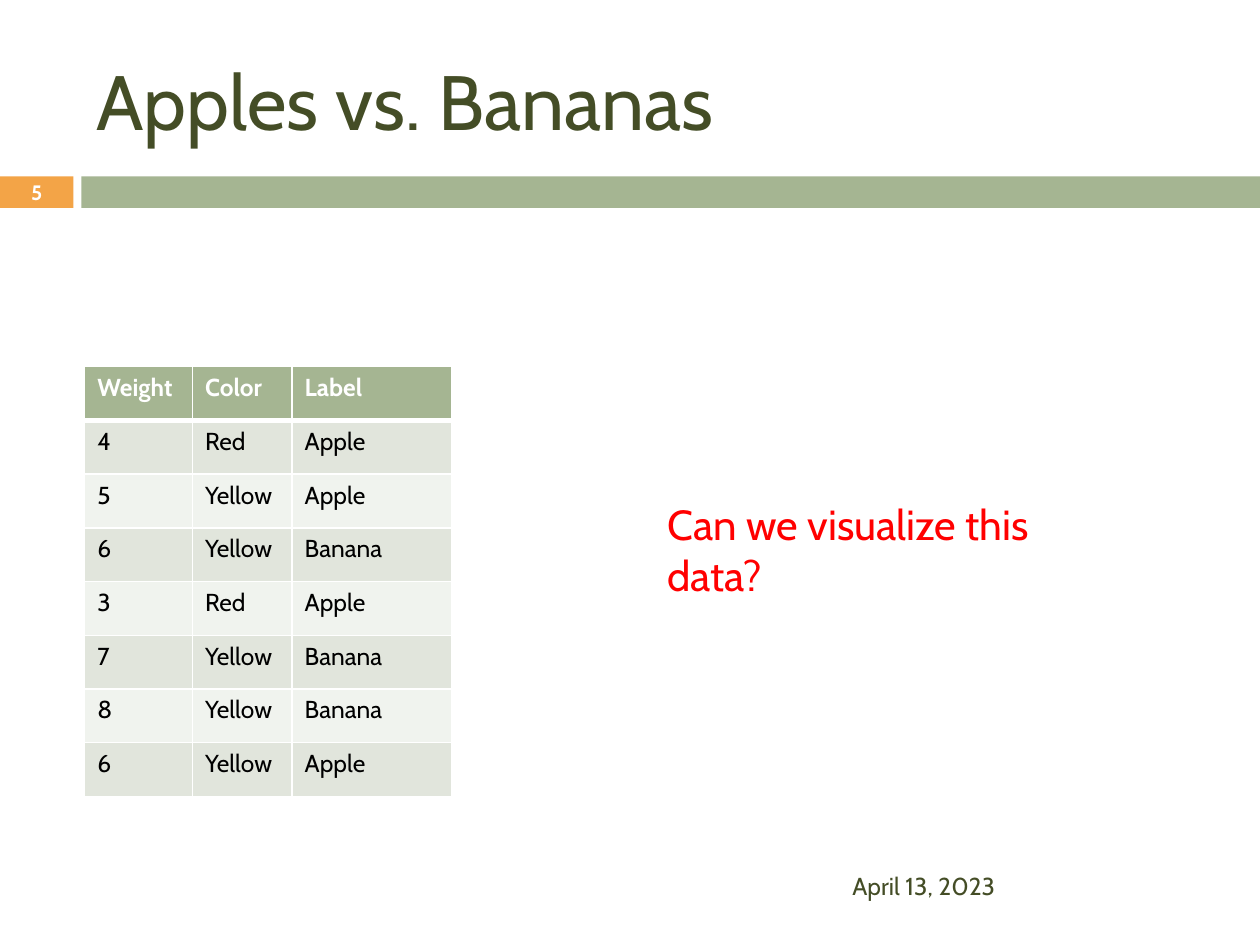
from dataclasses import dataclass

from lxml.etree import SubElement
from pptx import Presentation
from pptx.dml.color import RGBColor
from pptx.enum.shapes import MSO_SHAPE as Preset
from pptx.enum.text import MSO_ANCHOR as Anchor, PP_ALIGN as Align
from pptx.oxml.ns import qn
from pptx.slide import Slide
from pptx.table import _Cell as Cell
from pptx.text.text import TextFrame
from pptx.util import Pt

FONT = "Cabin"
WHITE = RGBColor(0xFF, 0xFF, 0xFF)
BLACK = RGBColor(0x00, 0x00, 0x00)
RED = RGBColor(0xFF, 0x00, 0x00)
OLIVE = RGBColor(0x44, 0x4D, 0x26)
ORANGE = RGBColor(0xF3, 0xA4, 0x47)
SAGE = RGBColor(0xA5, 0xB5, 0x92)
BANDS = (RGBColor(0xE1, 0xE5, 0xDC), RGBColor(0xF0, 0xF3, 0xEE))

COLUMN_WIDTHS = (61.6, 56.9, 91)
ROW_HEIGHT = 30.7
FRUIT = (
    ("Weight", "Color", "Label"),
    ("4", "Red", "Apple"),
    ("5", "Yellow", "Apple"),
    ("6", "Yellow", "Banana"),
    ("3", "Red", "Apple"),
    ("7", "Yellow", "Banana"),
    ("8", "Yellow", "Banana"),
    ("6", "Yellow", "Apple"),
)


@dataclass(frozen=True)
class Box:
    left: float
    top: float
    width: float
    height: float

    def lengths(self) -> tuple[Pt, ...]:
        return tuple(map(Pt, (self.left, self.top, self.width, self.height)))


@dataclass(frozen=True)
class Bar:
    box: Box
    color: RGBColor


@dataclass(frozen=True)
class Caption:
    text: str
    box: Box
    size: float
    color: RGBColor
    bold: bool = False
    anchor: Anchor = Anchor.MIDDLE
    align: Align = Align.LEFT


BARS = (
    Bar(Box(0, 100.8, 42, 18), ORANGE),
    Bar(Box(46.5, 100.8, 673.5, 18), SAGE),
)
CAPTIONS = (
    Caption("Apples vs. Bananas", Box(48, 18, 642, 78), 44, OLIVE),
    Caption("Can we visualize this data?", Box(374.4, 281.5, 275, 36), 24, RED,
            anchor=Anchor.TOP),
    Caption("April 13, 2023", Box(480, 492, 210, 28.8), 14, OLIVE),
    Caption("5", Box(0, 100, 42, 19.4), 11.9, WHITE, bold=True, align=Align.CENTER),
)


def write(frame: TextFrame, text: str, *, size: float, color: RGBColor,
          bold: bool = False, align: Align = Align.LEFT) -> None:
    paragraph = frame.paragraphs[0]
    paragraph.alignment = align
    run = paragraph.add_run()
    run.text = text
    run.font.name = FONT
    run.font.size = Pt(size)
    run.font.bold = bold
    run.font.color.rgb = color


def draw_bar(slide: Slide, bar: Bar) -> None:
    strip = slide.shapes.add_shape(Preset.RECTANGLE, *bar.box.lengths())
    strip.shadow.inherit = False
    strip.fill.solid()
    strip.fill.fore_color.rgb = bar.color
    strip.line.fill.background()


def draw_caption(slide: Slide, caption: Caption) -> None:
    frame = slide.shapes.add_textbox(*caption.box.lengths()).text_frame
    frame.word_wrap = True
    frame.vertical_anchor = caption.anchor
    write(frame, caption.text, size=caption.size, color=caption.color,
          bold=caption.bold, align=caption.align)


def style_cell(cell: Cell, fill: RGBColor, **edge_widths: float) -> None:
    properties = cell._tc.get_or_add_tcPr()
    for edge in ("L", "R", "T", "B"):
        line = SubElement(properties, qn(f"a:ln{edge}"), w=str(Pt(edge_widths.get(edge, 1))))
        SubElement(SubElement(line, qn("a:solidFill")), qn("a:srgbClr"), val=str(WHITE))
    cell.fill.solid()
    cell.fill.fore_color.rgb = fill


def draw_fruit_table(slide: Slide) -> None:
    box = Box(48.4, 209.5, sum(COLUMN_WIDTHS), ROW_HEIGHT * len(FRUIT))
    table = slide.shapes.add_table(len(FRUIT), len(COLUMN_WIDTHS), *box.lengths()).table
    for column, width in zip(table.columns, COLUMN_WIDTHS):
        column.width = Pt(width)
    for index, (row, values) in enumerate(zip(table.rows, FRUIT)):
        row.height = Pt(ROW_HEIGHT)
        header = index == 0
        fill = SAGE if header else BANDS[(index - 1) % 2]
        edges = {0: {"B": 3}, 1: {"T": 3}}.get(index, {})
        for cell, value in zip(row.cells, values):
            style_cell(cell, fill, **edges)
            write(cell.text_frame, value, size=14, bold=header,
                  color=WHITE if header else BLACK)


def main() -> None:
    deck = Presentation()
    deck.slide_width, deck.slide_height = Pt(720), Pt(540)
    slide = deck.slides.add_slide(deck.slide_layouts[6])
    for bar in BARS:
        draw_bar(slide, bar)
    draw_fruit_table(slide)
    for caption in CAPTIONS:
        draw_caption(slide, caption)
    deck.save("out.pptx")


if __name__ == "__main__":
    main()
